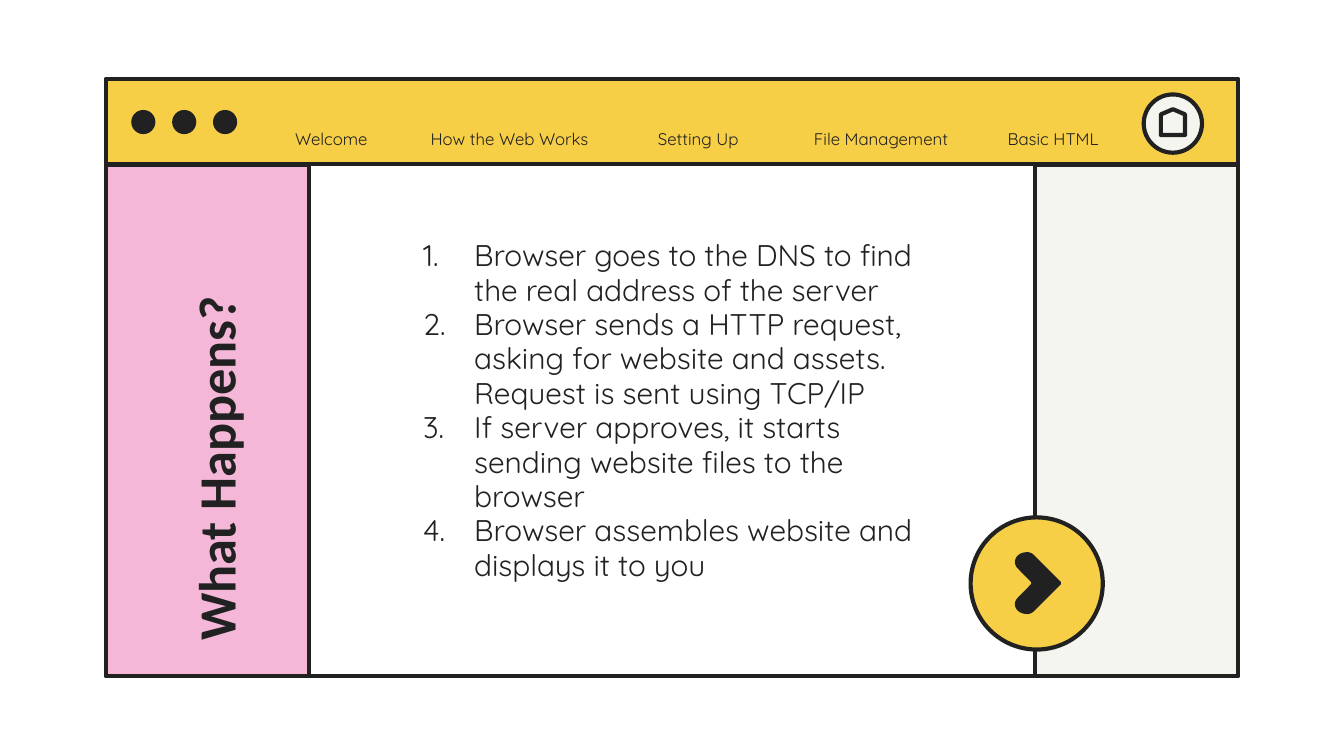
from pptx import Presentation
from pptx.dml.color import RGBColor
from pptx.enum.shapes import MSO_SHAPE
from pptx.enum.text import MSO_ANCHOR, PP_ALIGN
from pptx.oxml import parse_xml
from pptx.oxml.ns import nsdecls
from pptx.util import Pt

INK, GOLD, PINK, CREAM, WHITE = "212121", "F7CF46", "F4B7D8", "F5F5F0", "FFFFFF"
NAV = [
    ("Welcome", 123.84, 107.28),
    ("How the Web Works", 216, 113.76),
    ("Setting Up", 314.64, 118.8),
    ("File Management", 418.32, 107.28),
    ("Basic HTML", 510.48, 107.28),
]
STEPS = [
    "Browser goes to the DNS to find the real address of the server",
    "Browser sends a HTTP request, asking for website and assets. "
    "Request is sent using TCP/IP",
    "If server approves, it starts sending website files to the browser",
    "Browser assembles website and displays it to you",
]


def tint(color, code):
    """Set a colour format from a hex string."""
    color.rgb = RGBColor.from_string(code)


def paint(shape, fill, line=None):
    """Give a shape its fill and outline, without a shadow."""
    shape.shadow.inherit = False
    if fill:
        shape.fill.solid()
        tint(shape.fill.fore_color, fill)
    else:
        shape.fill.background()
    if line:
        tint(shape.line.color, line)
        shape.line.width = Pt(2.25)
    else:
        shape.line.fill.background()


def block(slide, kind, x, y, w, h, fill, line=INK):
    """Add a preset shape."""
    shape = slide.shapes.add_shape(kind, Pt(x), Pt(y), Pt(w), Pt(h))
    paint(shape, fill, line)
    return shape


def textbox(slide, x, y, w, h, top=7.2, base=7.2):
    """Add a wrapping text box with the given insets."""
    box = slide.shapes.add_textbox(Pt(x), Pt(y), Pt(w), Pt(h))
    frame = box.text_frame
    frame.word_wrap = True
    frame.margin_left = frame.margin_right = Pt(7.2)
    frame.margin_top, frame.margin_bottom = Pt(top), Pt(base)
    return box


def write(para, text, size, face="Quicksand", bold=False):
    """Add one run to a paragraph."""
    run = para.add_run()
    run.text = text
    run.font.name, run.font.size, run.font.bold = face, Pt(size), bold
    tint(run.font.color, INK)


def title(slide, text):
    """Add the heading that reads upwards in the left panel."""
    box = textbox(slide, -1.44, 197.28, 245.52, 60.48)
    box.rotation = 270
    write(box.text_frame.paragraphs[0], text, 28, "Calibri", True)


def number(para):
    """Turn a paragraph into a numbered item with a hanging indent."""
    props = para._p.get_or_add_pPr()
    props.set("marL", str(Pt(27.36)))
    props.set("indent", str(-Pt(27.36)))
    for child in (
        f'<a:buClr {nsdecls("a")}><a:srgbClr val="{INK}"/></a:buClr>',
        f'<a:buFont {nsdecls("a")} typeface="Quicksand"/>',
        f'<a:buAutoNum {nsdecls("a")} type="arabicPeriod"/>',
    ):
        props.append(parse_xml(child))


def steps(slide, items):
    """Add the numbered list."""
    frame = textbox(slide, 219.6, 120.96, 280.08, 208.08).text_frame
    for i, item in enumerate(items):
        para = frame.add_paragraph() if i else frame.paragraphs[0]
        number(para)
        para.line_spacing = 0.96
        write(para, item, 16)


def menu(slide, text, x, w):
    """Add one label of the top bar."""
    frame = textbox(slide, x, 59.04, w, 15.84, 14.4, 0).text_frame
    frame.vertical_anchor = MSO_ANCHOR.MIDDLE
    para = frame.paragraphs[0]
    para.alignment = PP_ALIGN.CENTER
    para.space_after = Pt(16)
    write(para, text, 9)


def curve(a, b, c, d, count=8):
    """Return points along a cubic curve, without its start."""
    spots = []
    for i in range(1, count + 1):
        t = i / count
        u = 1 - t
        spots.append(tuple(
            u**3 * p + 3 * u * u * t * q + 3 * u * t * t * r + t**3 * s
            for p, q, r, s in zip(a, b, c, d)
        ))
    return spots


def chevron(slide, x, y):
    """Add the arrow, mirrored about the height y, from its left edge x."""
    half = [(25.5, -0.6), (11.2, -14.9)]
    half += curve((11.2, -14.9), (10.2, -16), (8.8, -16.6), (7.3, -16.6))
    half += curve((7.3, -16.6), (1.4, -16.6), (-1.6, -10.8), (3.2, -7))
    half += [(9.3, -0.8), (9.7, 0)]
    whole = half + [(a, -b) for a, b in reversed(half)]
    spots = [(Pt(x + a), Pt(y + b)) for a, b in whole]
    form = slide.shapes.build_freeform(*spots[0])
    form.add_line_segments(spots[1:], close=True)
    paint(form.convert_to_shape(), INK)


def main():
    """Build the slide."""
    deck = Presentation()
    deck.slide_width, deck.slide_height = Pt(720), Pt(405)
    slide = deck.slides.add_slide(deck.slide_layouts[6])
    rect, oval = MSO_SHAPE.RECTANGLE, MSO_SHAPE.OVAL

    block(slide, rect, 56.88, 42.48, 606.24, 319.68, WHITE)
    block(slide, rect, 56.88, 42.48, 606.24, 45.5, GOLD)
    for i in range(3):
        block(slide, oval, 70.3 + 21.9 * i, 58.9, 12.96, 12.96, INK, None)
    for x, fill in ((554.4, CREAM), (56.88, PINK)):
        block(slide, rect, x, 88.4, 108.72, 273.76, fill)

    title(slide, "What Happens?")
    steps(slide, STEPS)
    block(slide, oval, 520, 277.2, 70.8, 70.8, GOLD)
    chevron(slide, 542.88, 312.4)
    block(slide, oval, 612.72, 50.6, 31.2, 31.2, CREAM)
    home = MSO_SHAPE.FLOWCHART_OFFPAGE_CONNECTOR
    block(slide, home, 621.9, 58.5, 12.96, 13.8, None).rotation = 180
    for item in NAV:
        menu(slide, *item)
    deck.save("out.pptx")


if __name__ == "__main__":
    main()
